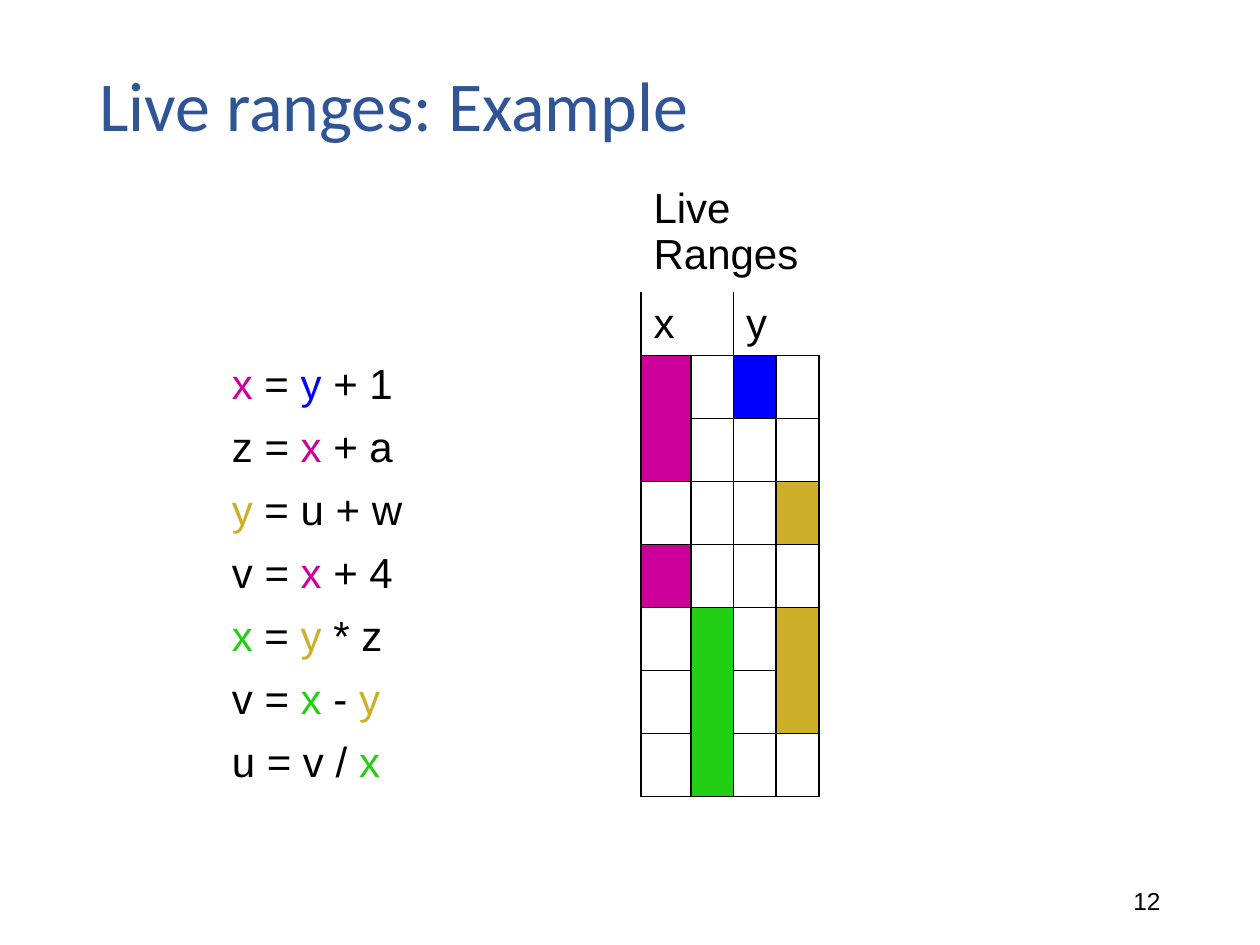
import pptx
import pptx.dml.color
import pptx.enum.text
import pptx.oxml
import pptx.oxml.ns
import pptx.util

Pt = pptx.util.Pt
ANCHOR = pptx.enum.text.MSO_ANCHOR
ALIGN = pptx.enum.text.PP_ALIGN

BLACK, NAVY = "000000", "2F5597"
PINK, BLUE, GOLD, GREEN = "CC0099", "0000FF", "CEAF2A", "22CF15"

STATEMENTS = [
    [("x", PINK), (" = ", BLACK), ("y", BLUE), (" + 1", BLACK)],
    [("z = ", BLACK), ("x", PINK), (" + a", BLACK)],
    [("y", GOLD), (" = u + w", BLACK)],
    [("v = ", BLACK), ("x", PINK), (" + 4", BLACK)],
    [("x", GREEN), (" = ", BLACK), ("y", GOLD), (" * z", BLACK)],
    [("v = ", BLACK), ("x", GREEN), (" - ", BLACK), ("y", GOLD)],
    [("u = v / ", BLACK), ("x", GREEN)],
]
# Live ranges: first statement, number of statements, table column, colour
LIVE_RANGES = [
    (0, 2, 1, PINK), (0, 1, 3, BLUE), (2, 1, 4, GOLD),
    (3, 1, 1, PINK), (4, 3, 2, GREEN), (4, 2, 4, GOLD),
]
COL_WIDTHS = [241, 28.6, 24.3, 24.4, 24.5]
TITLE_ROW, NAME_ROW, FIRST_ROW = 0, 1, 2


def color(hex_code):
    """Turn a hex string into a colour."""
    return pptx.dml.color.RGBColor.from_string(hex_code)


def set_font(font, name, size, hex_code):
    """Set typeface, size and colour."""
    font.name, font.size = name, Pt(size)
    font.color.rgb = color(hex_code)


def add_label(slide, box, text, name, size, hex_code, align):
    """Place one vertically centred line of text in a box."""
    tf = slide.shapes.add_textbox(*map(Pt, box)).text_frame
    tf.word_wrap = True
    tf.vertical_anchor = ANCHOR.MIDDLE
    p = tf.paragraphs[0]
    p.text, p.alignment = text, align
    set_font(p.font, name, size, hex_code)
    return p


def set_borders(cell, sides):
    """Draw black lines on the given sides (L, R, T, B) and none elsewhere."""
    tc_pr = cell._tc.get_or_add_tcPr()
    for side in "LRTB":
        line = (f'<a:solidFill><a:srgbClr val="{BLACK}"/></a:solidFill>'
                if side in sides else "<a:noFill/>")
        tc_pr.append(pptx.oxml.parse_xml(
            f'<a:ln{side} {pptx.oxml.ns.nsdecls("a")} w="{Pt(1)}">'
            f'{line}</a:ln{side}>'))


def border_sides(row, col):
    """Tell which sides of a cell carry a line."""
    if row == TITLE_ROW:
        return ""
    if col == 0:
        return "R"
    if row == NAME_ROW:
        return "LB" if col % 2 else "RB"
    return "LRTB"


def write_cell(cell, runs):
    """Write coloured runs into a table cell."""
    p = cell.text_frame.paragraphs[0]
    for text, hex_code in runs:
        r = p.add_run()
        r.text = text
        r.font.color.rgb = color(hex_code)
    p.font.name, p.font.size = "Arial", Pt(24)


def add_live_ranges(slide, left, top, title_height, row_height):
    """Build the table of statements and live ranges."""
    n_rows = FIRST_ROW + len(STATEMENTS)
    heights = [title_height] + [row_height] * (n_rows - 1)
    table = slide.shapes.add_table(
        n_rows, len(COL_WIDTHS), Pt(left), Pt(top),
        Pt(sum(COL_WIDTHS)), Pt(sum(heights))).table
    table.first_row = table.horz_banding = False
    for column, width in zip(table.columns, COL_WIDTHS):
        column.width = Pt(width)
    for i, height in enumerate(heights):
        table.rows[i].height = Pt(height)
        for j in range(len(COL_WIDTHS)):
            cell = table.cell(i, j)
            set_borders(cell, border_sides(i, j))
            cell.fill.background()

    heading = table.cell(TITLE_ROW, 1)
    heading.merge(table.cell(TITLE_ROW, 4))
    write_cell(heading, [("Live Ranges", BLACK)])
    for col, name in ((1, "x"), (3, "y")):
        cell = table.cell(NAME_ROW, col)
        cell.merge(table.cell(NAME_ROW, col + 1))
        cell.vertical_anchor = ANCHOR.MIDDLE
        write_cell(cell, [(name, BLACK)])
    for i, runs in enumerate(STATEMENTS, FIRST_ROW):
        write_cell(table.cell(i, 0), runs)
    for start, count, col, hex_code in LIVE_RANGES:
        row = FIRST_ROW + start
        cell = table.cell(row, col)
        if count > 1:
            cell.merge(table.cell(row + count - 1, col))
        cell.fill.solid()
        cell.fill.fore_color.rgb = color(hex_code)


def build_slide(prs):
    """Put the title, table and slide number on a blank slide."""
    slide = prs.slides.add_slide(prs.slide_layouts[6])
    add_label(slide, (508.3, 500.4, 162, 28.8), "12", "Arial", 14, BLACK,
              ALIGN.RIGHT)
    title = add_label(slide, (49.7, 28.8, 648, 66.2), "Live ranges: Example",
                      "Calibri", 40, NAVY, ALIGN.LEFT)
    title.line_spacing = 0.9
    add_live_ranges(slide, 125.3, 102.2, 64.8, 36)


prs = pptx.Presentation()
prs.slide_width, prs.slide_height = Pt(720), Pt(540)
build_slide(prs)
prs.save("out.pptx")
